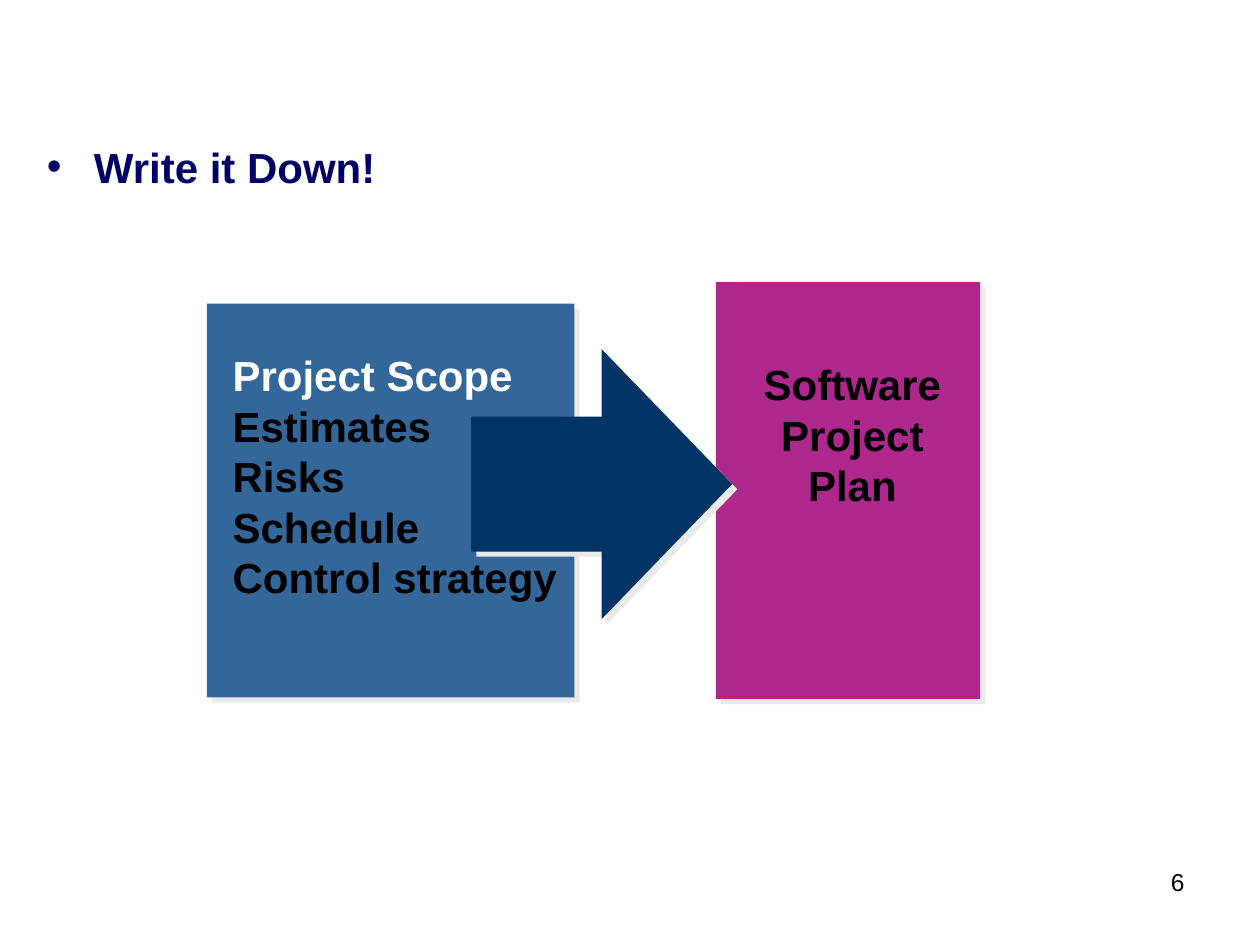
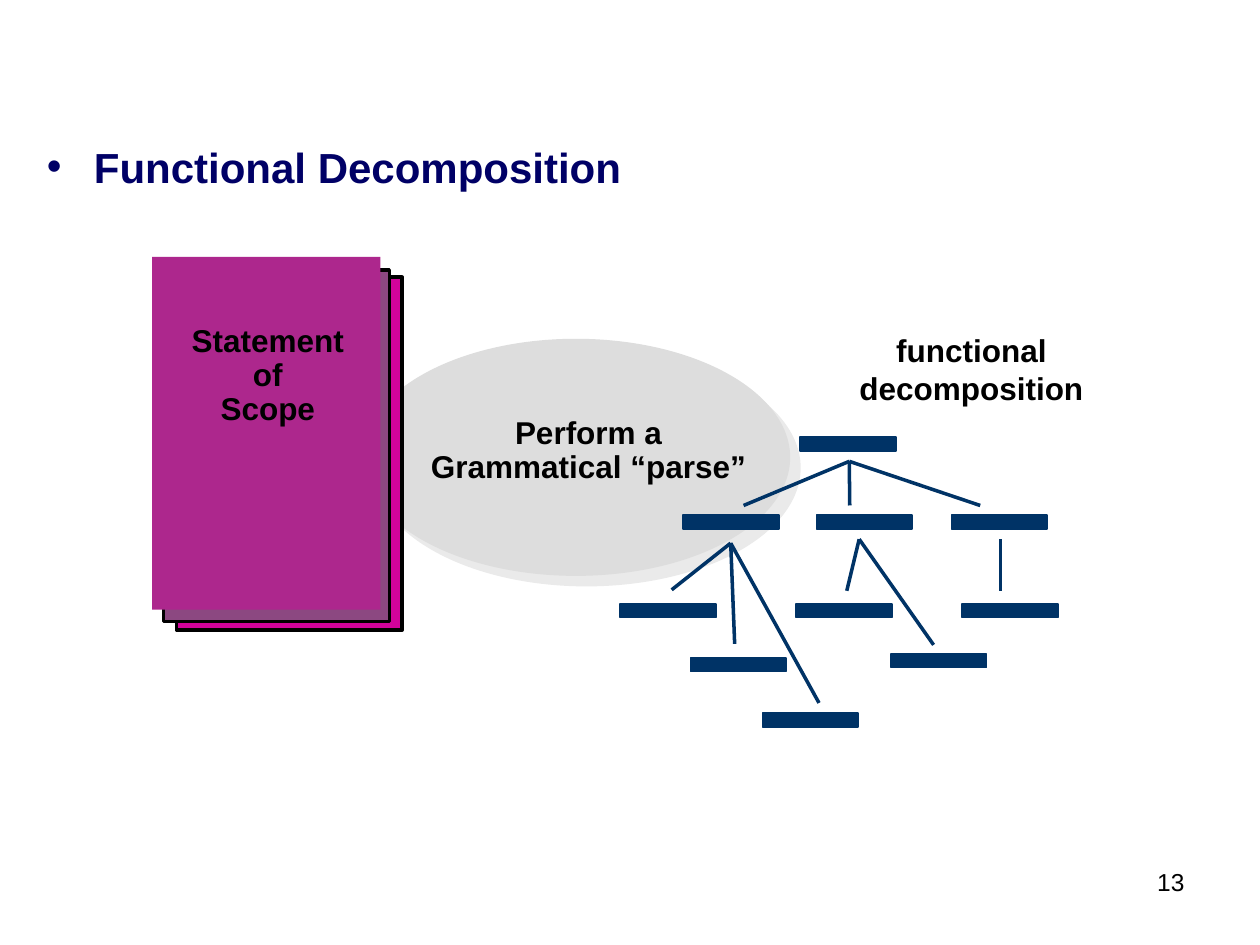
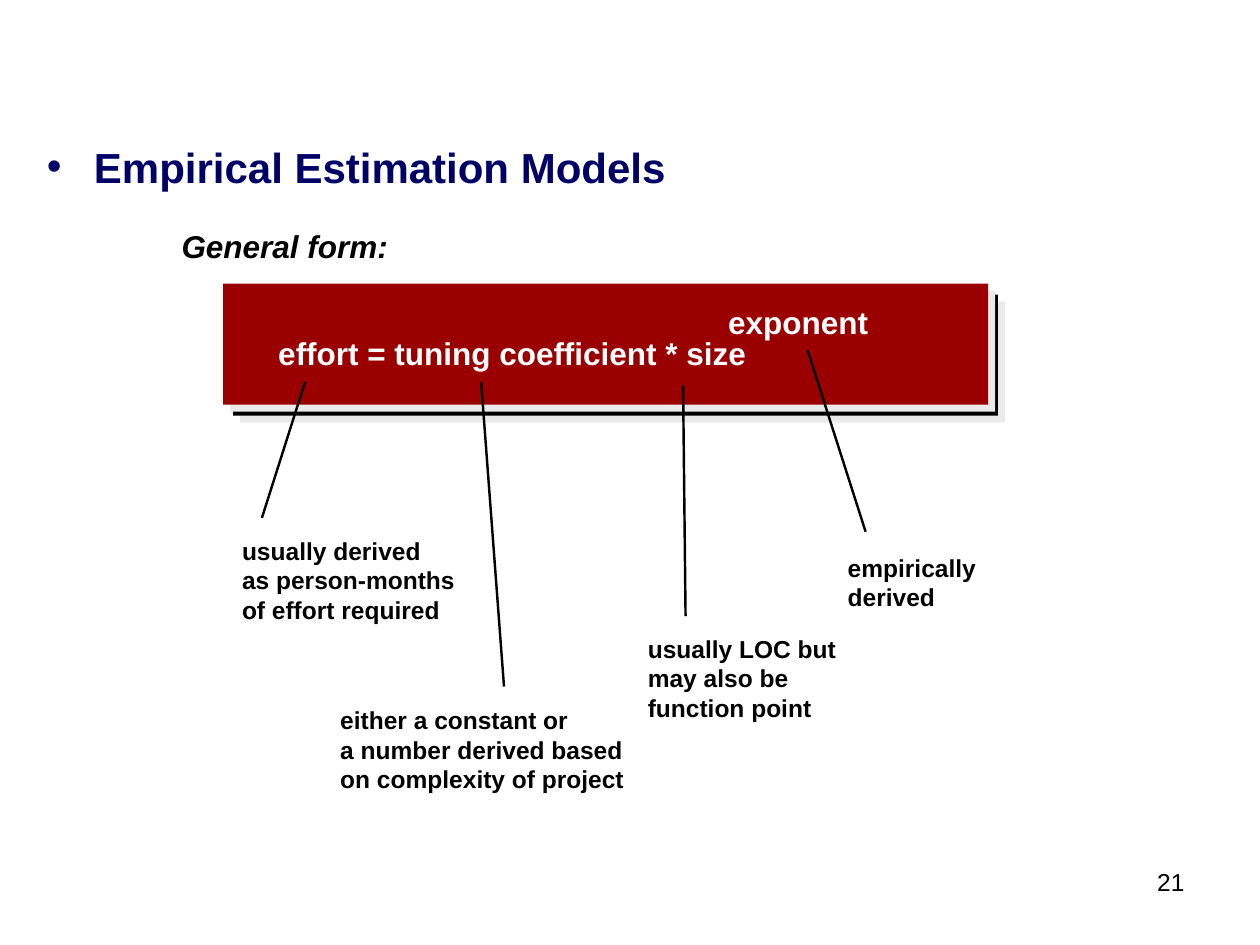
from lxml import etree
from pptx import Presentation
from pptx.dml.color import RGBColor
from pptx.enum import shapes, text
from pptx.oxml import ns
from pptx.util import Cm, Pt

NAVY_TEXT = RGBColor(0x00, 0x00, 0x66)
NAVY = RGBColor(0x00, 0x33, 0x66)
BLUE = RGBColor(0x33, 0x66, 0x99)
PURPLE = RGBColor(0xAD, 0x27, 0x8D)
MAGENTA = RGBColor(0xD1, 0x03, 0x9B)
PLUM = RGBColor(0x8C, 0x48, 0x81)
RED = RGBColor(0x9A, 0x00, 0x00)
GREY = RGBColor(0xDD, 0xDD, 0xDD)
SHADOW = RGBColor(0xEA, 0xEA, 0xEA)
BLACK = RGBColor(0x00, 0x00, 0x00)
WHITE = RGBColor(0xFF, 0xFF, 0xFF)

FONT = "Arial"
LEFT, CENTER, RIGHT = text.PP_ALIGN.LEFT, text.PP_ALIGN.CENTER, text.PP_ALIGN.RIGHT
RECT = shapes.MSO_SHAPE.RECTANGLE
INSETS = ("margin_left", "margin_top", "margin_right", "margin_bottom")


def apply(target, formats):
    for name, value in formats.items():
        setattr(target, name, value)


def cm(*lengths):
    return [Cm(length) for length in lengths]


def add_run(paragraph, words, color, **formats):
    run = paragraph.add_run()
    run.text = words
    apply(run.font, {"name": FONT, "bold": True, **formats})
    run.font.color.rgb = color


def add_label(slide, place, lines, size, color=BLACK, align=LEFT, spacing=1.0,
              wrap=False, inset=True, **formats):
    frame = slide.shapes.add_textbox(*cm(*place)).text_frame
    apply(frame, {"word_wrap": wrap, "auto_size": text.MSO_AUTO_SIZE.NONE})
    if not inset:
        apply(frame, dict.fromkeys(INSETS, 0))
    for index, line in enumerate(lines):
        words, line_color = line if isinstance(line, tuple) else (line, color)
        paragraph = frame.add_paragraph() if index else frame.paragraphs[0]
        apply(paragraph, {"alignment": align, "line_spacing": spacing})
        add_run(paragraph, words, line_color, size=Pt(size), **formats)


def add_block(slide, place, fill, kind=RECT, outline=None, width=1, shadow=0):
    block = slide.shapes.add_shape(kind, *cm(*place))
    block.fill.solid()
    block.fill.fore_color.rgb = fill
    if outline is None:
        block.line.fill.background()
    else:
        block.line.color.rgb = outline
        block.line.width = Pt(width)
    block.shadow.inherit = False
    if shadow:
        effects = block._element.spPr.find(ns.qn("a:effectLst"))
        outer = etree.SubElement(effects, ns.qn("a:outerShdw"), dist=str(Pt(shadow)),
                                 dir="2700000", algn="ctr", rotWithShape="0")
        etree.SubElement(outer, ns.qn("a:srgbClr"), val=str(SHADOW))


def add_line(slide, start, end, color, width):
    line = slide.shapes.add_connector(shapes.MSO_CONNECTOR.STRAIGHT, *cm(*start, *end))
    line.line.color.rgb = color
    line.line.width = Pt(width)
    etree.SubElement(line._element.spPr, ns.qn("a:effectLst"))


def add_heading(slide, words):
    heading = slide.shapes.title
    apply(heading, dict(zip(("left", "top", "width", "height"),
                            cm(0.69, 2.72, 22.86, 2.41))))
    frame = heading.text_frame
    apply(frame, {"word_wrap": True, "auto_size": text.MSO_AUTO_SIZE.NONE,
                  "vertical_anchor": text.MSO_ANCHOR.TOP})
    paragraph = frame.paragraphs[0]
    paragraph.alignment = LEFT
    properties = paragraph._p.get_or_add_pPr()
    properties.set("marL", str(Cm(0.95)))
    properties.set("indent", str(Cm(-0.95)))
    bullet_color = etree.SubElement(properties, ns.qn("a:buClr"))
    etree.SubElement(bullet_color, ns.qn("a:srgbClr"), val=str(NAVY_TEXT))
    etree.SubElement(properties, ns.qn("a:buFont"), typeface=FONT)
    etree.SubElement(properties, ns.qn("a:buChar"), char="•")
    add_run(paragraph, words, NAVY_TEXT, size=Pt(24))


def add_slide(deck, heading, number):
    slide = deck.slides.add_slide(deck.slide_layouts[5])
    add_label(slide, (18.9, 17.35, 5.23, 1.32), [number], 14, align=RIGHT,
              wrap=True, bold=False)
    add_heading(slide, heading)
    return slide


def build_project_plan(deck):
    slide = add_slide(deck, "Write it Down!", "6")
    add_block(slide, (14.43, 5.69, 5.33, 8.4), PURPLE, shadow=4.2)
    add_label(slide, (15.14, 7.11, 4.09, 3.3), ["Software", "Project", "Plan"], 24,
              align=CENTER)
    add_block(slide, (4.17, 6.12, 7.41, 7.94), BLUE, shadow=4.2)
    add_label(slide, (4.44, 6.93, 7.04, 5.33),
              [("Project Scope", WHITE), "Estimates", "Risks", "Schedule",
               "Control strategy"], 24)
    add_block(slide, (9.5, 7.04, 5.26, 5.44), NAVY,
              kind=shapes.MSO_SHAPE.RIGHT_ARROW, shadow=4.2)


def build_decomposition(deck):
    slide = add_slide(deck, "Functional Decomposition", "13")
    add_block(slide, (7.29, 6.83, 8.64, 4.78), GREY,
              kind=shapes.MSO_SHAPE.OVAL, shadow=8.5)

    add_block(slide, (3.56, 5.59, 4.55, 7.11), MAGENTA, outline=BLACK, width=2)
    add_block(slide, (3.3, 5.44, 4.55, 7.09), PLUM, outline=BLACK, width=2)
    add_block(slide, (3.07, 5.18, 4.6, 7.11), PURPLE)

    functions = [(16.13, 8.81),
                 (13.77, 10.39), (16.46, 10.39), (19.18, 10.39),
                 (12.5, 12.17), (13.92, 13.26), (15.37, 14.38),
                 (16.05, 12.17), (17.96, 13.18), (19.4, 12.17)]
    for left, top in functions:
        add_block(slide, (left, top, 1.93, 0.28), NAVY, outline=NAVY)

    branches = {(17.12, 9.3): [(14.99, 10.19), (17.13, 10.19), (19.76, 10.19)],
                (14.73, 10.95): [(13.54, 11.89), (14.81, 12.98), (16.51, 14.17)],
                (17.32, 10.87): [(17.07, 11.91), (18.82, 13)],
                (20.17, 10.87): [(20.17, 11.91)]}
    for parent, children in branches.items():
        for child in children:
            add_line(slide, parent, child, NAVY, 2)

    add_label(slide, (17.07, 6.55, 5.03, 1.78), ["functional", "decomposition"], 18,
              align=CENTER)
    add_label(slide, (3.61, 6.43, 3.58, 2.31), ["Statement", "of", "Scope"], 18,
              align=CENTER, spacing=0.9)
    add_label(slide, (8.36, 8.28, 7.01, 1.63), ["Perform a Grammatical “parse”"], 18,
              align=CENTER, spacing=0.9, wrap=True)


def build_estimation_models(deck):
    slide = add_slide(deck, "Empirical Estimation Models", "21")
    add_block(slide, (4.7, 5.94, 15.42, 2.44), BLACK, shadow=5.7)
    add_block(slide, (4.5, 5.72, 15.42, 2.44), RED, shadow=5.7)

    formula = {"size": 18, "spacing": 0.9, "inset": False}
    add_label(slide, (3.66, 4.67, 4.17, 0.69), ["General form:"], italic=True, **formula)
    add_label(slide, (5.61, 6.83, 9.45, 0.69), ["effort = tuning coefficient * size"],
              color=WHITE, **formula)
    add_label(slide, (14.68, 6.2, 2.82, 0.69), ["exponent"], color=WHITE, **formula)

    pointers = [((6.15, 7.7), (5.28, 10.44)), ((9.7, 7.7), (10.16, 13.84)),
                ((13.77, 7.77), (13.82, 12.42)), ((16.28, 7.06), (17.45, 10.72))]
    for term, note in pointers:
        add_line(slide, term, note, BLACK, 1.39)

    notes = [((4.88, 10.8, 4.29, 1.78),
              ["usually derived", "as person-months", "of effort required"]),
             ((6.86, 14.22, 5.84, 1.78),
              ["either a constant or", "a number derived based", "on complexity of project"]),
             ((13.06, 12.78, 3.81, 1.78),
              ["usually LOC but", "may also be", "function point"]),
             ((17.09, 11.15, 2.59, 1.19), ["empirically", "derived"])]
    for place, lines in notes:
        add_label(slide, place, lines, 14, spacing=Pt(16.8), inset=False)


def main():
    deck = Presentation()
    apply(deck, {"slide_width": Cm(25.4), "slide_height": Cm(19.05)})
    build_project_plan(deck)
    build_decomposition(deck)
    build_estimation_models(deck)
    deck.save("out.pptx")


if __name__ == "__main__":
    main()
